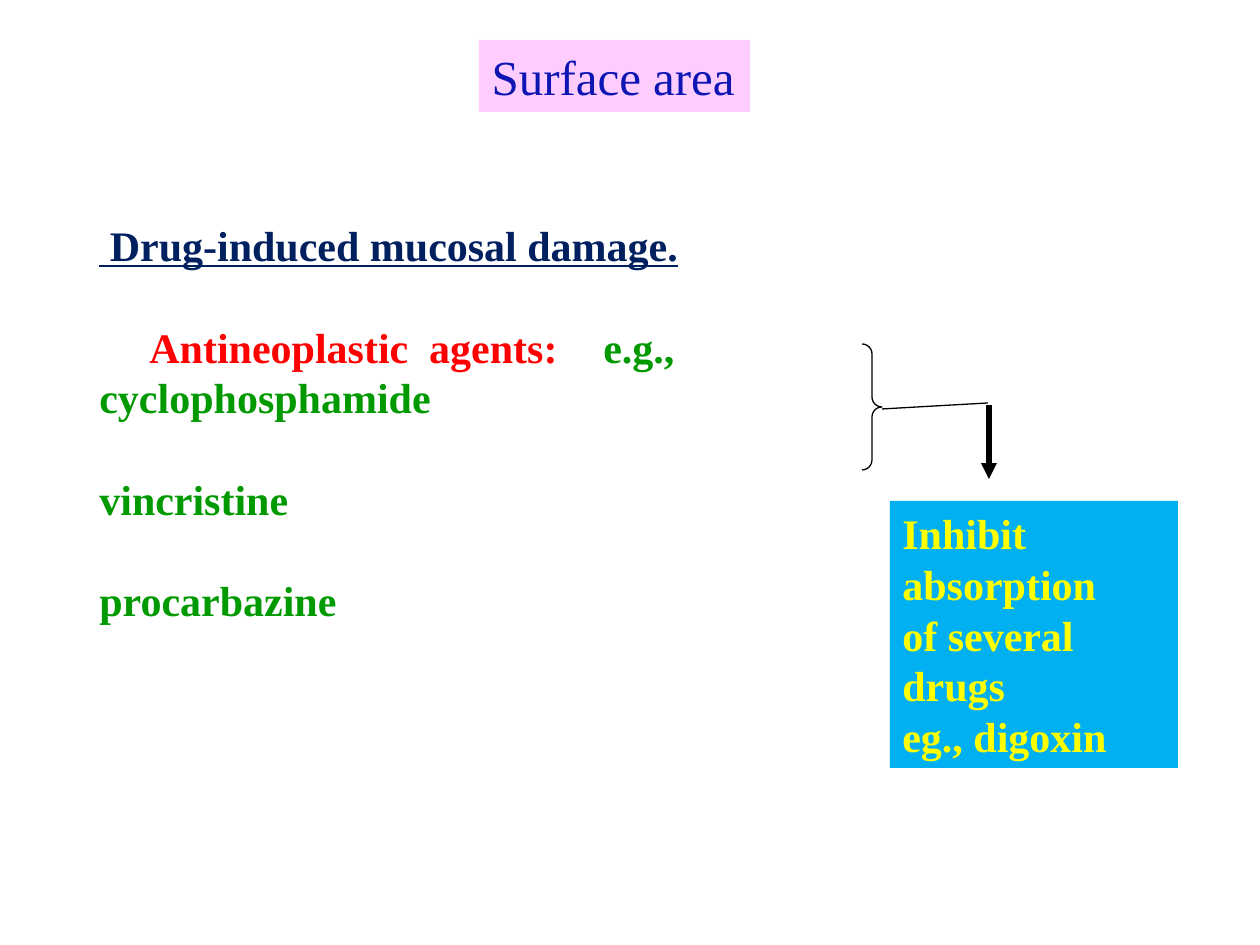
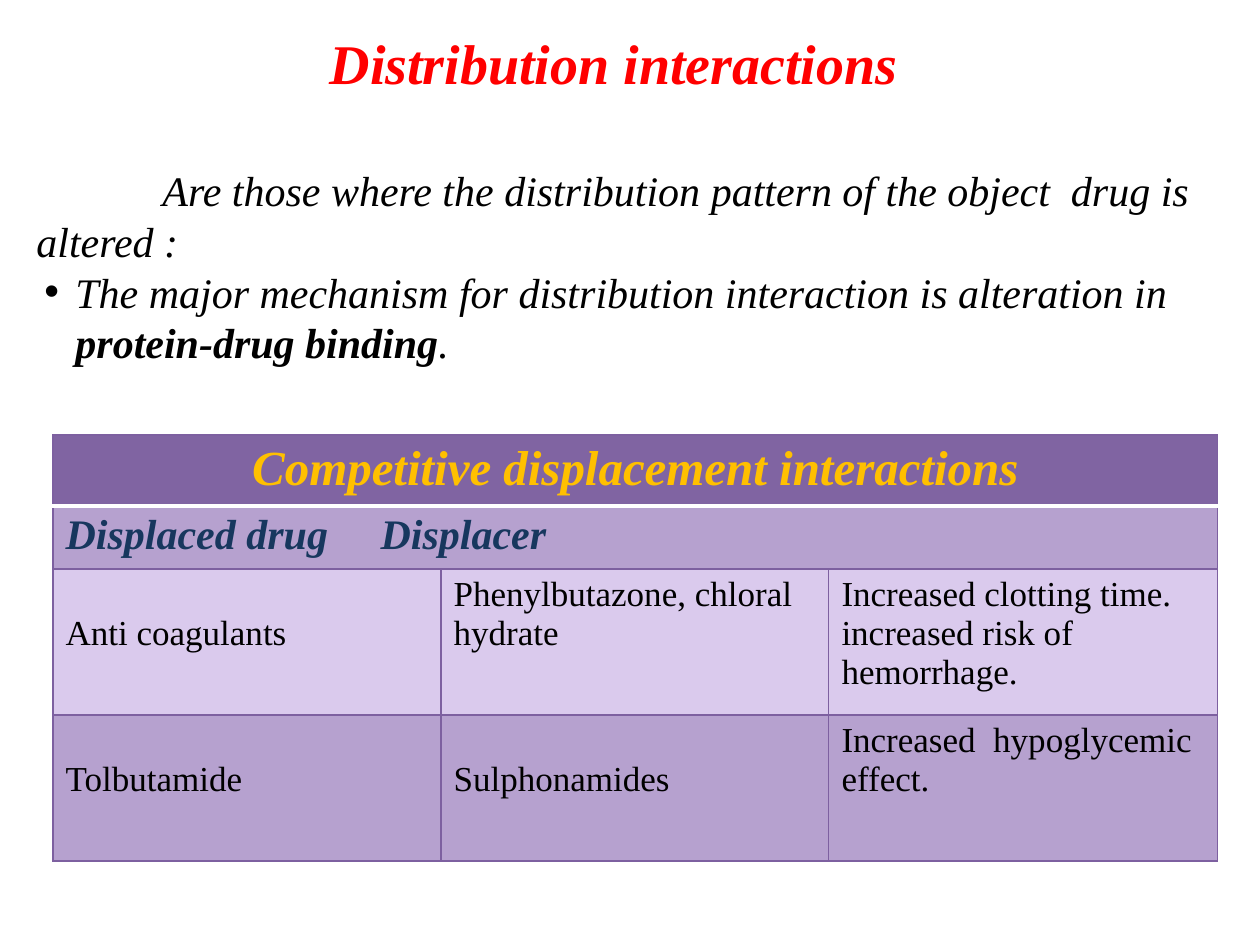
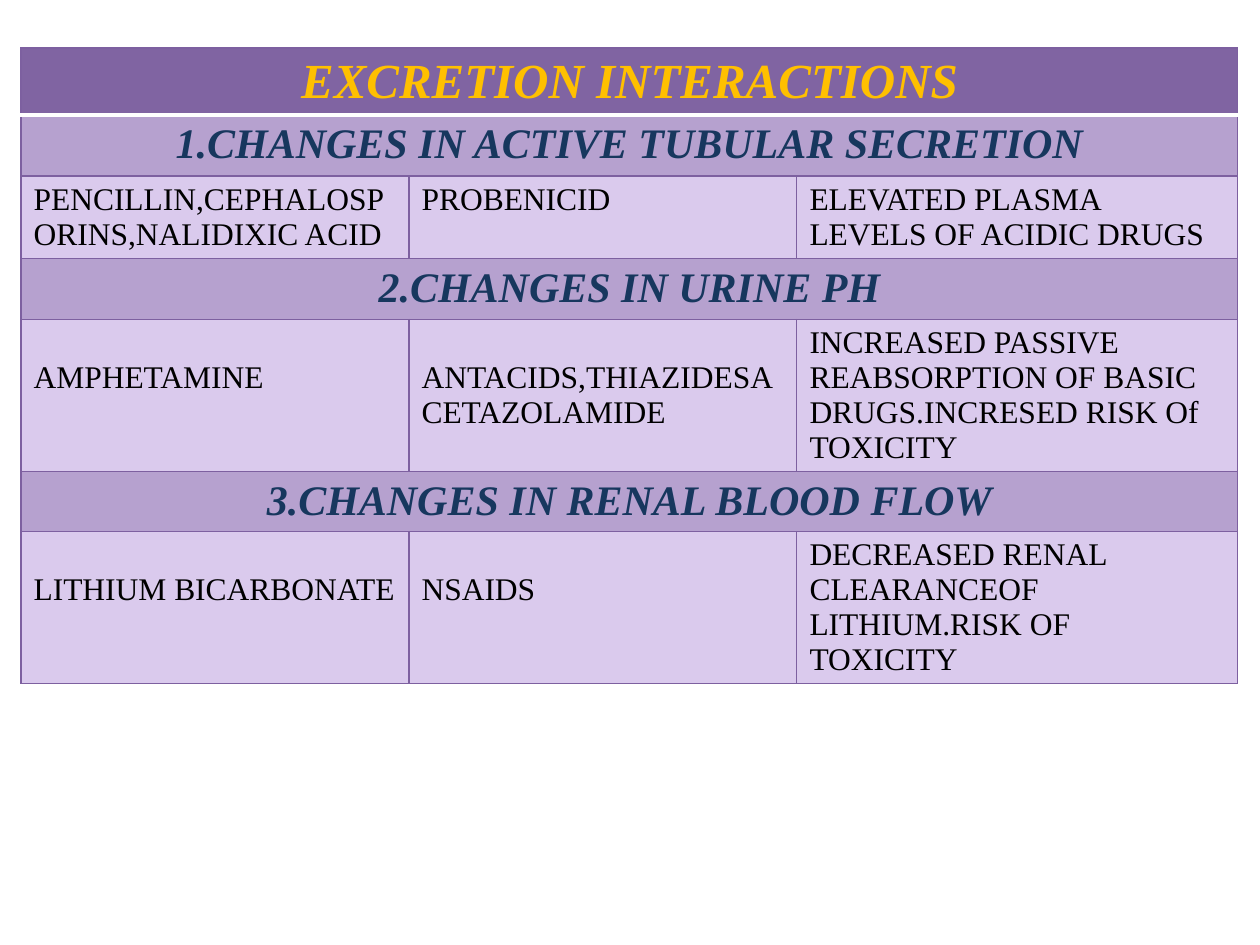
from lxml import etree
from pptx import Presentation
from pptx.dml.color import RGBColor
from pptx.enum.shapes import MSO_CONNECTOR as Connector, MSO_SHAPE as Shape
from pptx.enum.text import MSO_ANCHOR as Anchor, MSO_AUTO_SIZE as AutoSize, PP_ALIGN as Align
from pptx.oxml.ns import qn
from pptx.util import Emu, Pt

PX_PER_INCH = 126
FONT = "Times New Roman"
LEADING = 1.21
TITLE_ONLY, BLANK = 5, 6

# Shared colours
BLACK, WHITE, RED = "000000", "FFFFFF", "FF0000"
BLUE, GREEN, YELLOW = "0D15B3", "009900", "FFFF00"
NAVY, PINK, SKY = "002060", "FFCCFF", "00B0F0"
TABLE_LINE = "7D60A0"

# Looks of the table rows
HEADER = {"fill": "8064A2", "align": Align.CENTER,
          "font": {"size": 28, "color": "FFC000", "bold": True, "italic": True}}
BAND = {"fill": "B6A1CF", "align": Align.CENTER,
        "font": {"size": 24, "color": "17375E", "bold": True, "italic": True}}
BAND_LEFT = {**BAND, "align": Align.LEFT}
BODY = {"fill": "DACAED", "align": Align.LEFT,
        "font": {"size": 20, "color": BLACK, "bold": False}}
BODY_DARK = {**BODY, "fill": BAND["fill"]}
BODY_SMALL = {**BODY, "font": {**BODY["font"], "size": 18}}


def px(length):
    return Emu(round(length * 914400 / PX_PER_INCH))


def rgb(color):
    return RGBColor.from_string(color)


def add_xml(parent, tag, **attributes):
    return etree.SubElement(parent, qn(tag), attributes)


class Deck:
    def __init__(self):
        self.presentation = Presentation()
        self.presentation.slide_width = px(1260)
        self.presentation.slide_height = px(945)
        self.slide = None

    def new_slide(self, layout):
        self.slide = self.presentation.slides.add_slide(self.presentation.slide_layouts[layout])

    def fill_paragraph(self, paragraph, runs, align=Align.LEFT, leading=LEADING, before=0,
                       margin=0, indent=0, tab=None, bullet=None):
        """Fill a paragraph with (text, format) runs."""
        properties = paragraph._p.get_or_add_pPr()
        properties.set("marL", str(px(margin)))
        properties.set("indent", str(px(indent)))
        if bullet:
            add_xml(properties, "a:buFont", typeface="Arial")
            add_xml(properties, "a:buChar", char=bullet)
        if tab:
            tabs = add_xml(properties, "a:tabLst")
            add_xml(tabs, "a:tab", pos=str(px(tab)), algn="l")
        paragraph.alignment = align
        if leading:
            paragraph.line_spacing = Pt(round(runs[0][1]["size"] * leading))
        if before:
            paragraph.space_before = Pt(before)
        for text, style in runs:
            run = paragraph.add_run()
            run.text = text
            values = {"name": FONT, **style, "size": Pt(style["size"])}
            run.font.color.rgb = rgb(values.pop("color"))
            for name, value in values.items():
                setattr(run.font, name, value)

    def fill_frame(self, frame, paragraphs, wrap=True):
        values = {"word_wrap": wrap, "auto_size": AutoSize.NONE, "vertical_anchor": Anchor.TOP}
        for name, value in values.items():
            setattr(frame, name, value)
        for number, options in enumerate(paragraphs):
            paragraph = frame.add_paragraph() if number else frame.paragraphs[0]
            self.fill_paragraph(paragraph, **options)

    def title(self, box, text, style, align, fill=None, wrap=True):
        shape = self.slide.shapes.title
        for name, value in zip(("left", "top", "width", "height"), box):
            setattr(shape, name, px(value))
        if fill:
            shape.fill.solid()
            shape.fill.fore_color.rgb = rgb(fill)
        self.fill_frame(shape.text_frame, [{"runs": [(text, style)], "align": align}], wrap)

    def text(self, box, paragraphs):
        shape = self.slide.shapes.add_textbox(*map(px, box))
        self.fill_frame(shape.text_frame, paragraphs)

    def shape(self, kind, box, fill=None, line=None, paragraphs=()):
        shape = self.slide.shapes.add_shape(kind, *map(px, box))
        shape.shadow.inherit = False
        if fill:
            shape.fill.solid()
            shape.fill.fore_color.rgb = rgb(fill)
        else:
            shape.fill.background()
        if line:
            shape.line.color.rgb = rgb(line)
            shape.line.width = Pt(0.75)
        else:
            shape.line.fill.background()
        self.fill_frame(shape.text_frame, paragraphs)
        return shape

    def line(self, start, end, width, arrow=False):
        connector = self.slide.shapes.add_connector(
            Connector.STRAIGHT, *map(px, (*start, *end)))
        connector.line.color.rgb = rgb(BLACK)
        connector.line.width = Pt(width)
        properties = connector._element.spPr
        if arrow:
            add_xml(properties.find(qn("a:ln")), "a:tailEnd", type="triangle")
        add_xml(properties, "a:effectLst")

    def border(self, cell, white_side):
        properties = cell._tc.get_or_add_tcPr()
        for side in "LRTB":
            white = side == white_side
            edge = add_xml(properties, f"a:ln{side}", w=str(Pt(2 if white else 0.75)))
            fill = add_xml(edge, "a:solidFill")
            add_xml(fill, "a:srgbClr", val=WHITE if white else TABLE_LINE)

    def table(self, left, top, widths, rows):
        """Rows are (height, look, texts, lowered): one text spans the row,
        and the first `lowered` cells start one line down."""
        heights = [row[0] for row in rows]
        table = self.slide.shapes.add_table(
            len(rows), len(widths),
            *map(px, (left, top, sum(widths), sum(heights)))).table
        table.horz_banding = False
        for column, width in zip(table.columns, widths):
            column.width = px(width)
        for index, (height, look, texts, lowered) in enumerate(rows):
            table.rows[index].height = px(height)
            cells = [table.cell(index, column) for column in range(len(widths))]
            for cell in cells:
                self.border(cell, {0: "B", 1: "T"}.get(index))
                cell.fill.solid()
                cell.fill.fore_color.rgb = rgb(look["fill"])
            if len(texts) == 1:
                cells[0].merge(cells[-1])
            line_height = look["font"]["size"] * 1.107 * PX_PER_INCH / 72
            for number, (cell, text) in enumerate(zip(cells, texts)):
                if number < lowered:
                    cell.margin_top = px(6 + line_height)
                self.fill_paragraph(cell.text_frame.paragraphs[0], [(text, look["font"])],
                                    look["align"], leading=None,
                                    tab=430 if "\t" in text else None)


def surface_area(deck):
    deck.new_slide(TITLE_ONLY)
    deck.title((479, 40, 271, 72), "Surface area", {"size": 28, "color": BLUE},
               Align.LEFT, PINK, wrap=False)

    # Drugs that damage the mucosa
    bold = {"size": 24, "bold": True}
    drug = {**bold, "color": GREEN}
    deck.text((87, 213, 743, 420), [
        {"runs": [(" Drug-induced mucosal damage.", {**bold, "color": NAVY, "underline": True})]},
        {"runs": [("Antineoplastic  agents:\t", {**bold, "color": RED}),
                  ("e.g., cyclophosphamide", drug)],
         "before": 29, "indent": 50, "tab": 604},
        *({"runs": [(name, drug)], "before": 29} for name in ("vincristine", "procarbazine")),
    ])

    # Their effect
    effect = {**bold, "color": YELLOW}
    deck.shape(Shape.RECTANGLE, (890, 501, 288, 267), SKY, paragraphs=[
        {"runs": [(text, effect)]}
        for text in ("Inhibit absorption", "of several drugs", "eg., digoxin")])
    brace = deck.shape(Shape.RIGHT_BRACE, (862, 344, 20, 126), line=BLACK)
    brace.adjustments[0] = 0.5
    deck.line((882, 409), (988, 403), 0.75)
    deck.line((989, 405), (989, 479), 3, arrow=True)


def distribution_interactions(deck):
    deck.new_slide(TITLE_ONLY)
    deck.title((0, 21, 1228, 81), "Distribution interactions",
               {"size": 32, "color": RED, "bold": True, "italic": True}, Align.CENTER)

    # Definition and mechanism
    italic = {"size": 24, "color": BLACK, "italic": True}
    deck.text((0, 158, 1228, 215), [
        {"runs": [("Are those where the distribution pattern of the object  drug is altered :",
                   italic)],
         "margin": 24, "indent": 126},
        {"runs": [("The major mechanism for distribution interaction is alteration in ", italic),
                  ("protein-drug binding", {**italic, "bold": True}),
                  (".", italic)],
         "margin": 63, "indent": -31, "bullet": "•"},
    ])

    # Displacement table
    deck.table(53, 435, (388, 388, 389), [
        (71, HEADER, ["Competitive displacement interactions"], 0),
        (63, BAND_LEFT, ["Displaced drug\tDisplacer"], 0),
        (146, BODY, ["Anti coagulants", "Phenylbutazone, chloral hydrate",
                     "Increased clotting time. increased risk of hemorrhage."], 1),
        (146, BODY_DARK, ["Tolbutamide", "Sulphonamides",
                          "Increased  hypoglycemic effect."], 2),
    ])


def excretion_interactions(deck):
    deck.new_slide(BLANK)
    deck.table(21, 48, (388, 388, 441), [
        (67, HEADER, ["EXCRETION INTERACTIONS"], 0),
        (61, BAND, ["1.CHANGES IN ACTIVE TUBULAR SECRETION"], 0),
        (82, BODY_SMALL, ["PENCILLIN,CEPHALOSPORINS,NALIDIXIC ACID", "PROBENICID",
                          "ELEVATED PLASMA LEVELS OF ACIDIC DRUGS"], 0),
        (61, BAND, ["2.CHANGES IN URINE PH"], 0),
        (152, BODY_SMALL, ["AMPHETAMINE", "ANTACIDS,THIAZIDESACETAZOLAMIDE",
                           "INCREASED PASSIVE REABSORPTION OF BASIC "
                           "DRUGS.INCRESED RISK Of TOXICITY"], 2),
        (60, BAND, ["3.CHANGES IN RENAL BLOOD FLOW"], 0),
        (152, BODY_SMALL, ["LITHIUM BICARBONATE", "NSAIDS",
                           "DECREASED RENAL CLEARANCEOF LITHIUM.RISK OF TOXICITY"], 2),
    ])


def main():
    deck = Deck()
    surface_area(deck)
    distribution_interactions(deck)
    excretion_interactions(deck)
    deck.presentation.save("out.pptx")


if __name__ == "__main__":
    main()
